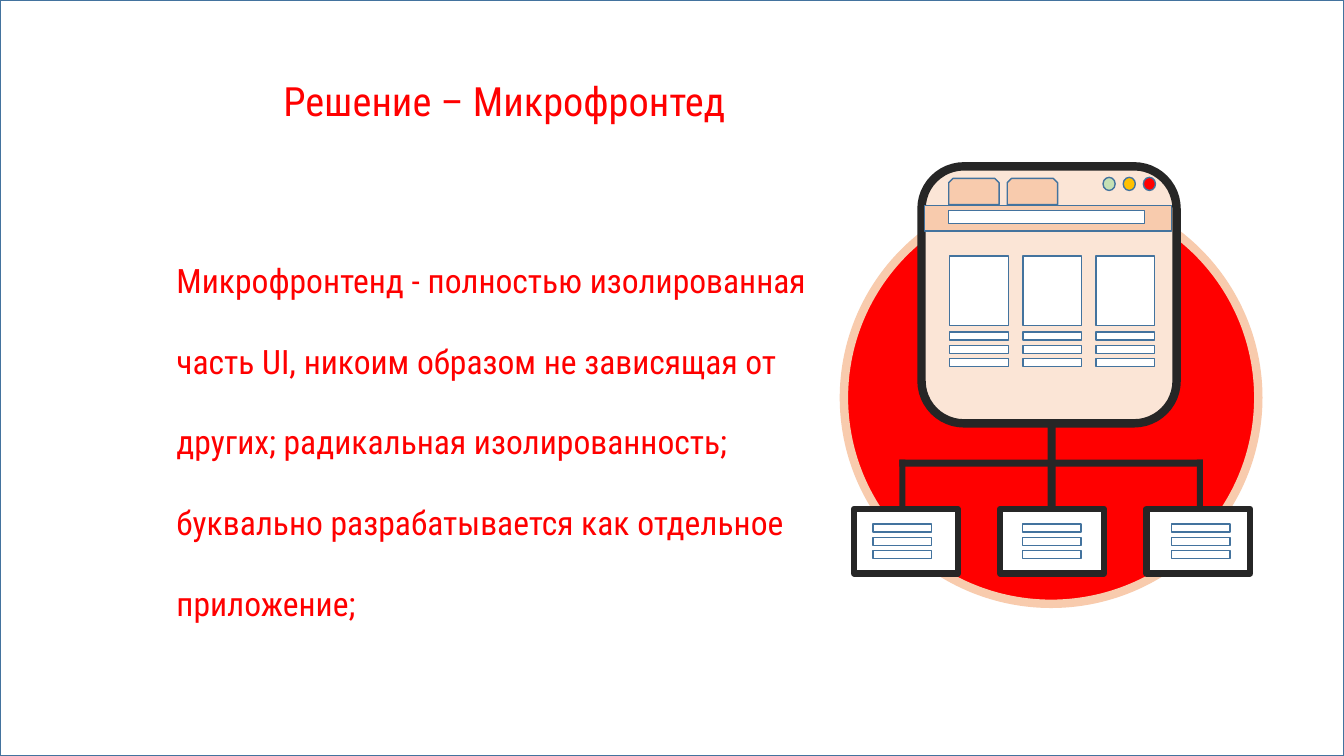
from dataclasses import dataclass
from typing import Any, Optional

import pptx
import pptx.dml.color
import pptx.enum.shapes
import pptx.enum.text
import pptx.util

Inches = pptx.util.Inches
Pt = pptx.util.Pt
RGBColor = pptx.dml.color.RGBColor
SHAPE = pptx.enum.shapes.MSO_SHAPE
ANCHOR = pptx.enum.text.MSO_ANCHOR
ALIGN = pptx.enum.text.PP_ALIGN

WHITE = RGBColor(0xFF, 0xFF, 0xFF)
RED = RGBColor(0xFF, 0x00, 0x00)
BLUE = RGBColor(0x43, 0x73, 0x9E)
DARK = RGBColor(0x26, 0x26, 0x26)
PEACH = RGBColor(0xF8, 0xCB, 0xAD)
CREAM = RGBColor(0xFB, 0xE5, 0xD6)
GREEN = RGBColor(0xC5, 0xE0, 0xB4)
AMBER = RGBColor(0xFF, 0xC0, 0x00)

FONT = "Roboto Condensed"
WIDTH, HEIGHT = 13.33, 7.5


@dataclass
class Box:
    left: float
    top: float
    width: float
    height: float
    fill: RGBColor = WHITE
    line: Optional[RGBColor] = BLUE
    weight: float = 1
    kind: Any = SHAPE.RECTANGLE


@dataclass
class Words:
    text: str
    left: float
    top: float
    width: float
    height: float
    size: float
    spacing: float
    anchor: Any


def draw_box(s: Any, box: Box) -> Any:
    sp = s.shapes.add_shape(box.kind, Inches(box.left), Inches(box.top),
                            Inches(box.width), Inches(box.height))
    sp.shadow.inherit = False
    sp.fill.solid()
    sp.fill.fore_color.rgb = box.fill
    if box.line is None:
        sp.line.fill.background()
    else:
        sp.line.color.rgb = box.line
        sp.line.width = Pt(box.weight)
    return sp


def apply(target: Any, values: dict) -> None:
    for name, value in values.items():
        setattr(target, name, value)


def fill_placeholder(sp: Any, words: Words) -> None:
    apply(sp, {"left": Inches(words.left), "top": Inches(words.top),
               "width": Inches(words.width), "height": Inches(words.height)})
    tf = sp.text_frame
    apply(tf, {"word_wrap": True, "vertical_anchor": words.anchor,
               "auto_size": pptx.enum.text.MSO_AUTO_SIZE.NONE})
    p = tf.paragraphs[0]
    apply(p, {"alignment": ALIGN.LEFT, "line_spacing": words.spacing,
              "space_before": Pt(0)})
    r = p.add_run()
    r.text = words.text
    apply(r.font, {"name": FONT, "size": Pt(words.size), "bold": False})
    r.font.color.rgb = RED


def text_lines(left: float, top: float) -> list[Box]:
    return [Box(left, top + 0.13 * i, 0.58, 0.08) for i in range(3)]


def browser() -> list[Box]:
    boxes = [
        Box(9.14, 1.65, 2.53, 2.55, CREAM, DARK, 6, SHAPE.ROUNDED_RECTANGLE),
        Box(9.17, 2.04, 2.45, 0.25, PEACH),
    ]
    # Window buttons and tabs
    for i, color in enumerate((GREEN, AMBER, RED)):
        boxes.append(Box(10.94 + 0.2 * i, 1.76, 0.12, 0.13, color, kind=SHAPE.OVAL))
    for left in (9.41, 9.99):
        boxes.append(Box(left, 1.77, 0.5, 0.26, PEACH,
                         kind=SHAPE.SNIP_2_SAME_RECTANGLE))
    # Address bar
    boxes.append(Box(9.41, 2.09, 1.94, 0.13))
    # Page cards with captions
    for i in range(3):
        left = 9.42 + 0.725 * i
        boxes.append(Box(left, 2.54, 0.58, 0.69))
        boxes += text_lines(left, 3.295)
    return boxes


def tree() -> list[Box]:
    # Stem, crossbar and side drops
    bars = ((10.39, 4.2, 0.08, 0.85), (8.92, 4.56, 3.01, 0.07),
            (8.92, 4.56, 0.06, 0.5), (11.87, 4.56, 0.06, 0.5))
    boxes = [Box(*bar, fill=DARK, line=None) for bar in bars]
    # Isolated modules
    for i in range(3):
        boxes.append(Box(8.47 + 1.45 * i, 5.05, 1.03, 0.64, WHITE, DARK, 4.5))
        boxes += text_lines(8.66 + 1.48 * i, 5.2)
    return boxes


def main() -> None:
    prs = pptx.Presentation()
    prs.slide_width, prs.slide_height = Inches(WIDTH), Inches(HEIGHT)
    s = prs.slides.add_slide(prs.slide_layouts[0])

    # Framed background, behind the text
    background = draw_box(s, Box(0, 0, WIDTH, HEIGHT))
    s.shapes.title.element.addprevious(background.element)

    # Title and definition
    fill_placeholder(s.shapes.title, Words(
        "Решение – Микрофронтед", 2.71, 0.73, 8.95, 0.56, 28.8, 0.9, ANCHOR.BOTTOM))
    fill_placeholder(s.placeholders[1], Words(
        "Микрофронтенд - полностью изолированная часть UI, никоим образом не "
        "зависящая от других; радикальная изолированность; буквально "
        "разрабатывается как отдельное приложение;",
        1.65, 2.13, 6.56, 4.18, 24, 2.0, ANCHOR.TOP))

    # Illustration
    circle = Box(8.37, 1.9, 4.11, 4.09, RED, PEACH, 6, SHAPE.OVAL)
    for box in [circle, *browser(), *tree()]:
        draw_box(s, box)

    prs.save("out.pptx")


if __name__ == "__main__":
    main()
